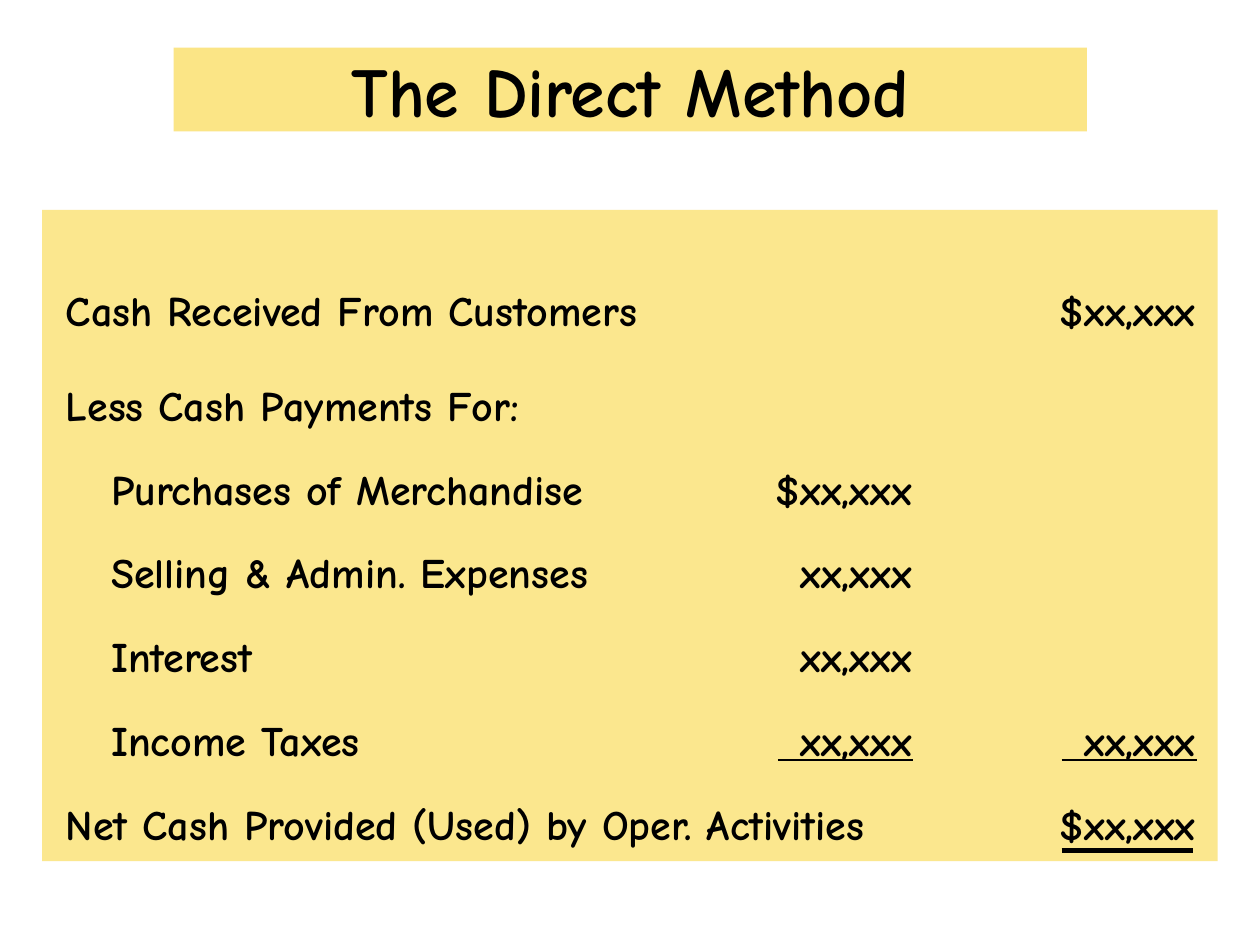
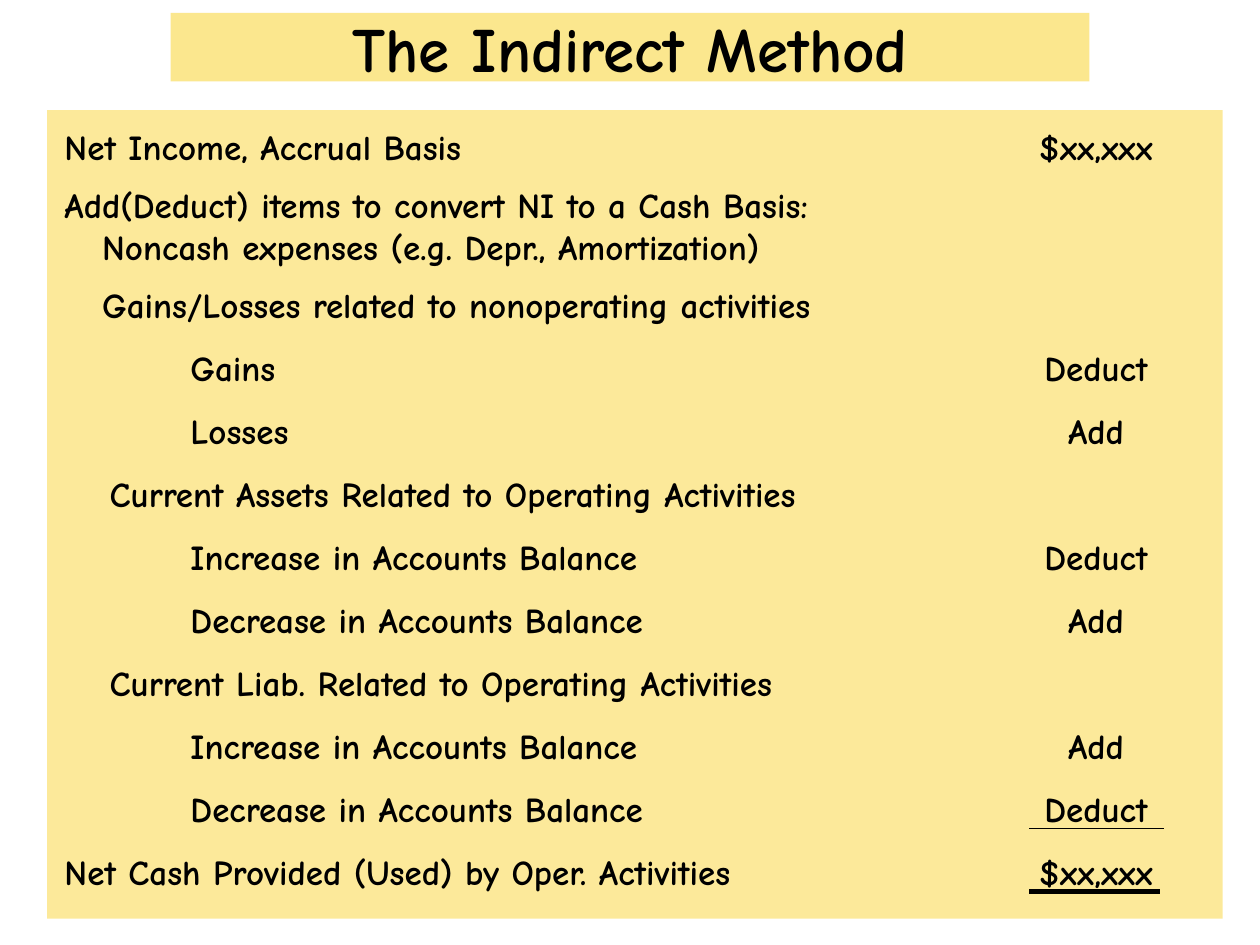
from dataclasses import dataclass

from lxml.etree import SubElement
from pptx import Presentation
from pptx.dml.color import RGBColor
from pptx.enum.shapes import MSO_CONNECTOR, MSO_SHAPE
from pptx.enum.text import MSO_ANCHOR, MSO_AUTO_SIZE, PP_ALIGN
from pptx.oxml.ns import qn
from pptx.util import Cm, Pt


@dataclass(frozen=True)
class Theme:
    font: str = "Comic Neue"
    ink: RGBColor = RGBColor(0, 0, 0)
    band: RGBColor = RGBColor(0xF8, 0xCB, 0x0A)


@dataclass(frozen=True)
class Style:
    """What differs between the two statements; lengths in cm."""
    title_size: int
    text_size: int
    title_opacity: int
    panel_opacity: int
    align: PP_ALIGN
    label_left: float
    columns: tuple
    first_row: float
    rule_left: float
    total_drop: float


THEME = Theme()
DIRECT = Style(40, 24, 49, 46, PP_ALIGN.RIGHT, 0.23, (13.33, 19.05), 1.38, 1.5, 1.17)
INDIRECT = Style(36, 20, 46, 41, PP_ALIGN.CENTER, 0.1, (18.92,), 0.1, 0.88, 1.04)

ROW_HEIGHT = 1.27
TALL_ROW = 1.91
AMOUNT_WIDTH = 4.45
COLUMN_GAP = 0.8
SUBTOTAL_DROP = 1.04
SUBTOTAL, TOTAL = "subtotal", "total"
RULES = {SUBTOTAL: (2.72, 1), TOTAL: (2.64, 3)}  # width in cm, weight in pt
ITEM, SUBITEM, NOTE = 0.91, 2.54, 0.76  # indents in cm

# Each row: pitch to the next row, [(label, indent)], {column: (amount, rule)}
STEP = 1.69
DIRECT_ROWS = [
    (TALL_ROW, [("Cash Received From Customers", 0)], {1: ("$xx,xxx", None)}),
    (STEP, [("Less Cash Payments For:", 0)], {}),
    (STEP, [("Purchases of Merchandise", ITEM)], {0: ("$xx,xxx", None)}),
    (STEP, [("Selling & Admin. Expenses", ITEM)], {0: ("xx,xxx", None)}),
    (STEP, [("Interest", ITEM)], {0: ("xx,xxx", None)}),
    (STEP, [("Income Taxes", ITEM)],
     {0: ("xx,xxx", SUBTOTAL), 1: ("xx,xxx", SUBTOTAL)}),
    (STEP, [("Net Cash Provided (Used) by Oper. Activities", 0)],
     {1: ("$xx,xxx", TOTAL)}),
]
INCREASE = [("Increase in Accounts Balance", SUBITEM)]
DECREASE = [("Decrease in Accounts Balance", SUBITEM)]
INDIRECT_ROWS = [
    (ROW_HEIGHT, [("Net Income, Accrual Basis", 0)], {0: ("$xx,xxx", None)}),
    (TALL_ROW, [("Add(Deduct) items to convert NI to a Cash Basis:", 0),
                ("Noncash expenses (e.g. Depr., Amortization)", NOTE)], {}),
    (ROW_HEIGHT, [("Gains/Losses related to nonoperating activities", NOTE)], {}),
    (ROW_HEIGHT, [("Gains", SUBITEM)], {0: ("Deduct", None)}),
    (ROW_HEIGHT, [("Losses", SUBITEM)], {0: ("Add", None)}),
    (ROW_HEIGHT, [("Current Assets Related to Operating Activities", ITEM)], {}),
    (ROW_HEIGHT, INCREASE, {0: ("Deduct", None)}),
    (ROW_HEIGHT, DECREASE, {0: ("Add", None)}),
    (ROW_HEIGHT, [("Current Liab. Related to Operating Activities", ITEM)], {}),
    (ROW_HEIGHT, INCREASE, {0: ("Add", None)}),
    (ROW_HEIGHT, DECREASE, {0: ("Deduct", SUBTOTAL)}),
    (ROW_HEIGHT, [("Net Cash Provided (Used) by Oper. Activities", 0)],
     {0: ("$xx,xxx", TOTAL)}),
]


def fill_band(sp, opacity):
    sp.fill.solid()
    sp.fill.fore_color.rgb = THEME.band
    color = next(sp.element.spPr.iter(qn("a:srgbClr")))
    SubElement(color, qn("a:alpha")).set("val", str(opacity * 1000))


def write(tf, lines, size, align):
    """Fill a text frame with (text, indent in cm) paragraphs."""
    tf.word_wrap = True
    tf.auto_size = MSO_AUTO_SIZE.NONE
    tf.vertical_anchor = MSO_ANCHOR.MIDDLE
    for i, (text, indent) in enumerate(lines):
        p = tf.add_paragraph() if i else tf.paragraphs[0]
        p.alignment = align
        if indent:
            p._p.get_or_add_pPr().set("marL", str(Cm(indent)))
        r = p.add_run()
        r.text = text
        r.font.name = THEME.font
        r.font.size = Pt(size)
        r.font.bold = True
        r.font.color.rgb = THEME.ink


def add_title(s, text, box, style):
    sp = s.shapes.title
    sp.left, sp.top, sp.width, sp.height = map(Cm, box)
    fill_band(sp, style.title_opacity)
    write(sp.text_frame, [(text, 0)], style.title_size, PP_ALIGN.CENTER)


def add_text(s, box, lines, size, align):
    tf = s.shapes.add_textbox(*map(Cm, box)).text_frame
    write(tf, lines, size, align)


def add_rule(s, x, y, width, weight):
    line = s.shapes.add_connector(
        MSO_CONNECTOR.STRAIGHT, Cm(x), Cm(y), Cm(x + width), Cm(y))
    line.line.color.rgb = THEME.ink
    line.line.width = Pt(weight)
    SubElement(line.element.spPr, qn("a:effectLst"))


def add_statement(s, box, rows, style):
    left, top = box[:2]
    panel = s.shapes.add_shape(MSO_SHAPE.RECTANGLE, *map(Cm, box))
    panel.shadow.inherit = False
    panel.line.fill.background()
    fill_band(panel, style.panel_opacity)

    y = top + style.first_row
    for pitch, labels, amounts in rows:
        height = TALL_ROW if len(labels) > 1 else ROW_HEIGHT
        next_column = style.columns[min(amounts, default=-1)]
        label_width = next_column - style.label_left - COLUMN_GAP
        add_text(s, (left + style.label_left, y, label_width, height),
                 labels, style.text_size, PP_ALIGN.LEFT)
        for column, (amount, rule) in amounts.items():
            x = left + style.columns[column]
            add_text(s, (x, y, AMOUNT_WIDTH, height),
                     [(amount, 0)], style.text_size, style.align)
            if rule:
                drop = style.total_drop if rule == TOTAL else SUBTOTAL_DROP
                add_rule(s, x + style.rule_left, y + drop, *RULES[rule])
        y += pitch


def add_method_slide(prs, title, title_box, panel_box, rows, style):
    s = prs.slides.add_slide(prs.slide_layouts[5])
    add_title(s, title, title_box, style)
    add_statement(s, panel_box, rows, style)


def main():
    prs = Presentation()
    prs.slide_width, prs.slide_height = Cm(25.4), Cm(19.05)
    add_method_slide(prs, "The Direct Method", (3.5, 0.96, 18.41, 1.69),
                     (0.85, 4.23, 23.7, 13.13), DIRECT_ROWS, DIRECT)
    add_method_slide(prs, "The Indirect Method", (3.44, 0.26, 18.52, 1.38),
                     (0.95, 2.22, 23.7, 16.3), INDIRECT_ROWS, INDIRECT)
    prs.save("out.pptx")


if __name__ == "__main__":
    main()
